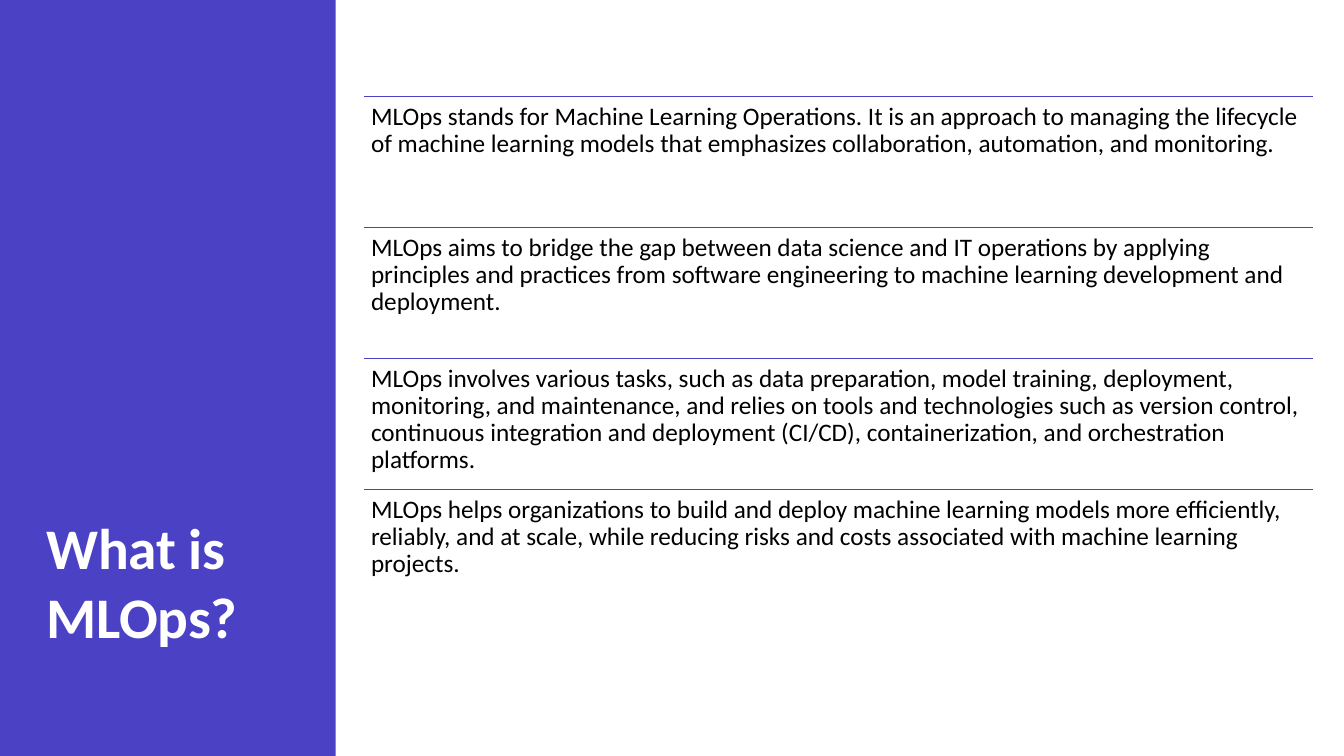
from lxml import etree
from pptx import Presentation
from pptx.dml.color import RGBColor
from pptx.enum.shapes import MSO_CONNECTOR, MSO_SHAPE
from pptx.enum.text import MSO_ANCHOR, MSO_AUTO_SIZE, PP_ALIGN
from pptx.oxml.ns import qn
from pptx.util import Inches, Pt

RECTANGLE = MSO_SHAPE.RECTANGLE
STRAIGHT = MSO_CONNECTOR.STRAIGHT
BOTTOM = MSO_ANCHOR.BOTTOM
TOP = MSO_ANCHOR.TOP
LEFT = PP_ALIGN.LEFT
NO_AUTOFIT = MSO_AUTO_SIZE.NONE

INDIGO = RGBColor(0x4A, 0x41, 0xC5)
WHITE = RGBColor(0xFF, 0xFF, 0xFF)
BLACK = RGBColor(0x00, 0x00, 0x00)
FONT = "Calibri"

LIST_LEFT, LIST_TOP, LIST_WIDTH = 3.61, 0.96, 9.41
ROW_HEIGHT = 1.298
INSET = Inches(0.07)

STATEMENTS = [
    "MLOps stands for Machine Learning Operations. It is an approach to managing "
    "the lifecycle of machine learning models that emphasizes collaboration, "
    "automation, and monitoring.",
    "MLOps aims to bridge the gap between data science and IT operations by applying "
    "principles and practices from software engineering to machine learning "
    "development and deployment.",
    "MLOps involves various tasks, such as data preparation, model training, "
    "deployment, monitoring, and maintenance, and relies on tools and technologies "
    "such as version control, continuous integration and deployment (CI/CD), "
    "containerization, and orchestration platforms.",
    "MLOps helps organizations to build and deploy machine learning models more "
    "efficiently, reliably, and at scale, while reducing risks and costs associated "
    "with machine learning projects.",
]


def add_run(paragraph, text, size, color, bold=False):
    run = paragraph.add_run()
    run.text = text
    run.font.name = FONT
    run.font.size = Pt(size)
    run.font.color.rgb = color
    run.font.bold = bold
    return run


presentation = Presentation()
presentation.slide_width = Inches(13.33)
presentation.slide_height = Inches(7.5)
slide = presentation.slides.add_slide(presentation.slide_layouts[5])

# Side panel with the title
title = slide.shapes.title
title.left, title.top = Inches(0.36), Inches(0.96)
title.width, title.height = Inches(2.61), Inches(5.54)
title_frame = title.text_frame
title_frame.word_wrap = True
title_frame.auto_size = NO_AUTOFIT
title_frame.vertical_anchor = BOTTOM
title_paragraph = title_frame.paragraphs[0]
title_paragraph.alignment = LEFT
title_run = add_run(title_paragraph, "What is MLOps?", 41, WHITE, bold=True)
title_run.font._element.set("spc", "-20")

panel = slide.shapes.add_shape(RECTANGLE, 0, 0, Inches(3.33), presentation.slide_height)
panel.shadow.inherit = False
panel.fill.solid()
panel.fill.fore_color.rgb = INDIGO
panel.line.fill.background()
title.element.addprevious(panel.element)  # panel goes behind the title

# Ruled list of statements
for index, statement in enumerate(STATEMENTS):
    left, width = Inches(LIST_LEFT), Inches(LIST_WIDTH)
    top = Inches(LIST_TOP + index * ROW_HEIGHT)

    rule = slide.shapes.add_connector(STRAIGHT, left, top, left + width, top)
    rule.line.color.rgb = INDIGO
    rule.line.width = Pt(1)
    etree.SubElement(rule.element.spPr, qn("a:effectLst"))

    box = slide.shapes.add_textbox(left, top, width, Inches(ROW_HEIGHT))
    frame = box.text_frame
    frame.word_wrap = True
    frame.vertical_anchor = TOP
    frame.margin_left = frame.margin_right = INSET
    frame.margin_top = frame.margin_bottom = INSET
    paragraph = frame.paragraphs[0]
    paragraph.alignment = LEFT
    paragraph.line_spacing = 0.9
    add_run(paragraph, statement, 18, BLACK)

presentation.save("out.pptx")
